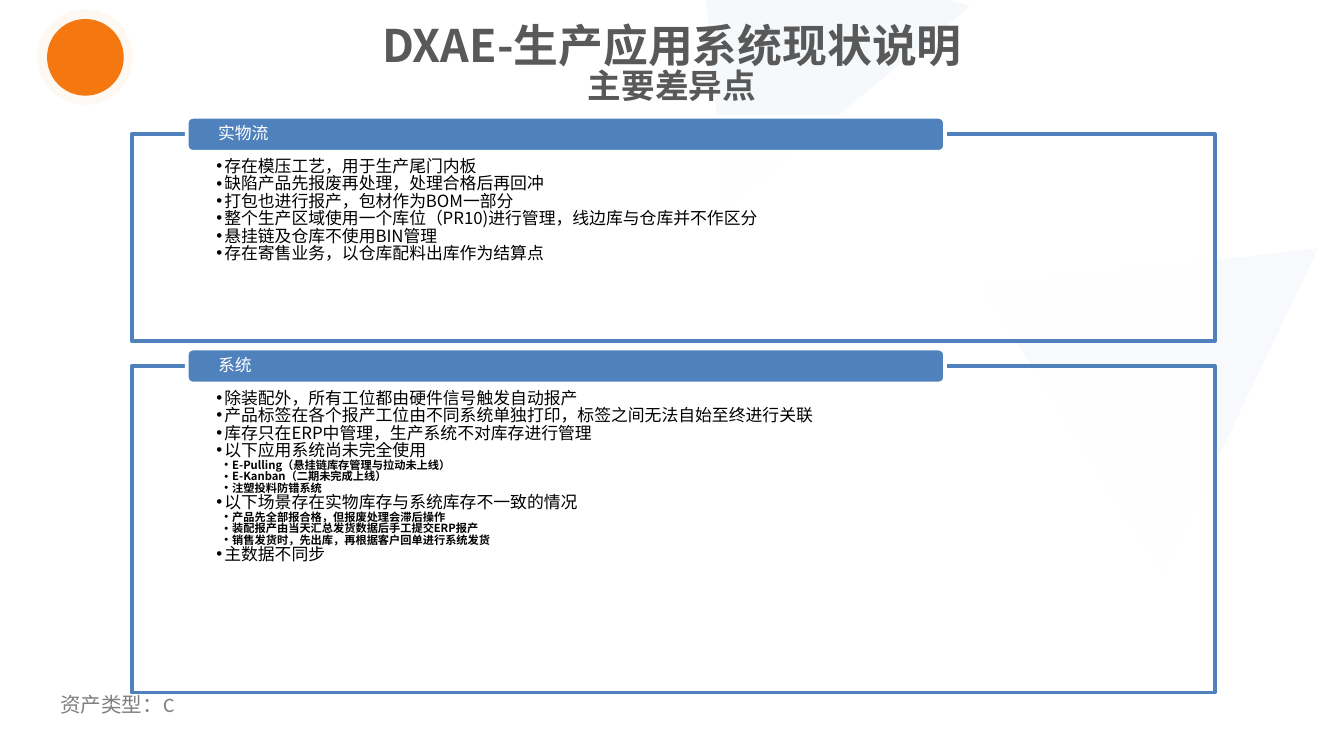
from lxml import etree
from pptx import Presentation
from pptx import util as u
from pptx.dml.color import RGBColor
from pptx.enum import shapes, text
from pptx.oxml.ns import qn

SANS = "Noto Sans CJK SC"
KIND = shapes.MSO_SHAPE
MIDDLE = text.MSO_ANCHOR.MIDDLE
BLUE, WHITE = "4F81BD", "FFFFFF"


def add_block(kind, frame, fill, alpha=100, line=None):
    box = page.shapes.add_shape(kind, *[u.Cm(n) for n in frame])
    box.shadow.inherit = False
    box.fill.solid()
    box.fill.fore_color.rgb = RGBColor.from_string(fill)
    if alpha < 100:
        tint = box.fill._xPr.find(".//" + qn("a:srgbClr"))
        etree.SubElement(tint, qn("a:alpha"), val=str(alpha * 1000))
    if line:
        box.line.color.rgb = RGBColor.from_string(line)
        box.line.width = u.Pt(2)
    else:
        box.line.fill.background()
    return box


def write(box, lines, color, insets, anchor, font=SANS, align="LEFT", spacing=1.0, bullets=False):
    frame = box.text_frame
    frame.word_wrap = True
    frame.auto_size = text.MSO_AUTO_SIZE.NONE
    frame.vertical_anchor = anchor
    frame.margin_left, frame.margin_top, frame.margin_right, frame.margin_bottom = [u.Cm(n) for n in insets]
    for number, (words, size, bold, level) in enumerate(lines):
        para = frame.add_paragraph() if number else frame.paragraphs[0]
        para.alignment = getattr(text.PP_ALIGN, align)
        para.level = level
        para.line_spacing = spacing
        para.space_before = para.space_after = u.Pt(0)
        if bullets:
            props = para._p.get_or_add_pPr()
            props.set("marL", str(u.Cm(0.15 * level)))
            props.set("indent", str(-u.Cm(0.15)))
            etree.SubElement(props, qn("a:buFont"), typeface="Arial")
            etree.SubElement(props, qn("a:buChar"), char="•")
        span = para.add_run()
        span.text = words
        span.font.size = u.Pt(size)
        span.font.bold = bold
        span.font.name = font
        span.font.color.rgb = RGBColor.from_string(color)
        etree.SubElement(span._r.get_or_add_rPr(), qn("a:ea"), typeface=SANS)


deck = Presentation()
deck.slide_width, deck.slide_height = u.Cm(25.4), u.Cm(14.29)
page = deck.slides.add_slide(deck.slide_layouts[5])

asset_class = page.shapes.add_textbox(u.Cm(0.89), u.Cm(12.95), u.Cm(4.6), u.Cm(0.74))
write(asset_class, [("资产类型：C", 11, False, 0)], "808080", (0.25, 0, 0.25, 0), MIDDLE, font="Calibri")

for frame, angle, alpha in [
    ((11.61, -1.85, 6.02, 4.39), 320.4, 8),
    ((17.6, 3.89, 6.81, 5.41), 295.6, 7),
]:
    triangle = add_block(KIND.ISOSCELES_TRIANGLE, frame, "95B3D7", alpha)
    triangle.rotation = angle

title = page.shapes.title
title.left, title.top, title.width, title.height = u.Cm(0), u.Cm(0.13), u.Cm(25.4), u.Cm(2.24)
write(title, [("DXAE-生产应用系统现状说明", 24, True, 0), ("主要差异点", 18, True, 0)],
      "595959", (0.25, 0, 0.25, 0), MIDDLE, align="CENTER", spacing=0.82)
title.element.getparent().append(title.element)

add_block(KIND.OVAL, (0.71, 0.18, 1.8, 1.8), "FDEADA", 30)
add_block(KIND.OVAL, (0.89, 0.36, 1.45, 1.45), "F5770F")

panels = [
    ("实物流", 2.54, 3.91, [
        (1, "存在模压工艺，用于生产尾门内板"),
        (1, "缺陷产品先报废再处理，处理合格后再回冲"),
        (1, "打包也进行报产，包材作为BOM一部分"),
        (1, "整个生产区域使用一个库位（PR10)进行管理，线边库与仓库并不作区分"),
        (1, "悬挂链及仓库不使用BIN管理"),
        (1, "存在寄售业务，以仓库配料出库作为结算点"),
    ]),
    ("系统", 6.92, 6.17, [
        (1, "除装配外，所有工位都由硬件信号触发自动报产"),
        (1, "产品标签在各个报产工位由不同系统单独打印，标签之间无法自始至终进行关联"),
        (1, "库存只在ERP中管理，生产系统不对库存进行管理"),
        (1, "以下应用系统尚未完全使用"),
        (2, "E-Pulling（悬挂链库存管理与拉动未上线）"),
        (2, "E-Kanban（二期未完成上线）"),
        (2, "注塑投料防错系统"),
        (1, "以下场景存在实物库存与系统库存不一致的情况"),
        (2, "产品先全部报合格，但报废处理会滞后操作"),
        (2, "装配报产由当天汇总发货数据后手工提交ERP报产"),
        (2, "销售发货时，先出库，再根据客户回单进行系统发货"),
        (1, "主数据不同步"),
    ]),
]
for heading, top, height, points in panels:
    panel = add_block(KIND.RECTANGLE, (2.49, top, 20.47, height), WHITE, 90, BLUE)
    lines = [(words, 9 if level == 1 else 6, level == 2, level) for level, words in points]
    write(panel, lines, "000000", (1.6, 0.46, 1.6, 0.18), text.MSO_ANCHOR.TOP, spacing=0.86, bullets=True)
    banner = add_block(KIND.ROUNDED_RECTANGLE, (3.53, top - 0.33, 14.33, 0.66), BLUE, line=WHITE)
    write(banner, [(heading, 9, False, 0)], WHITE, (0.56, 0, 0.56, 0), MIDDLE, spacing=0.9)

deck.save("out.pptx")
